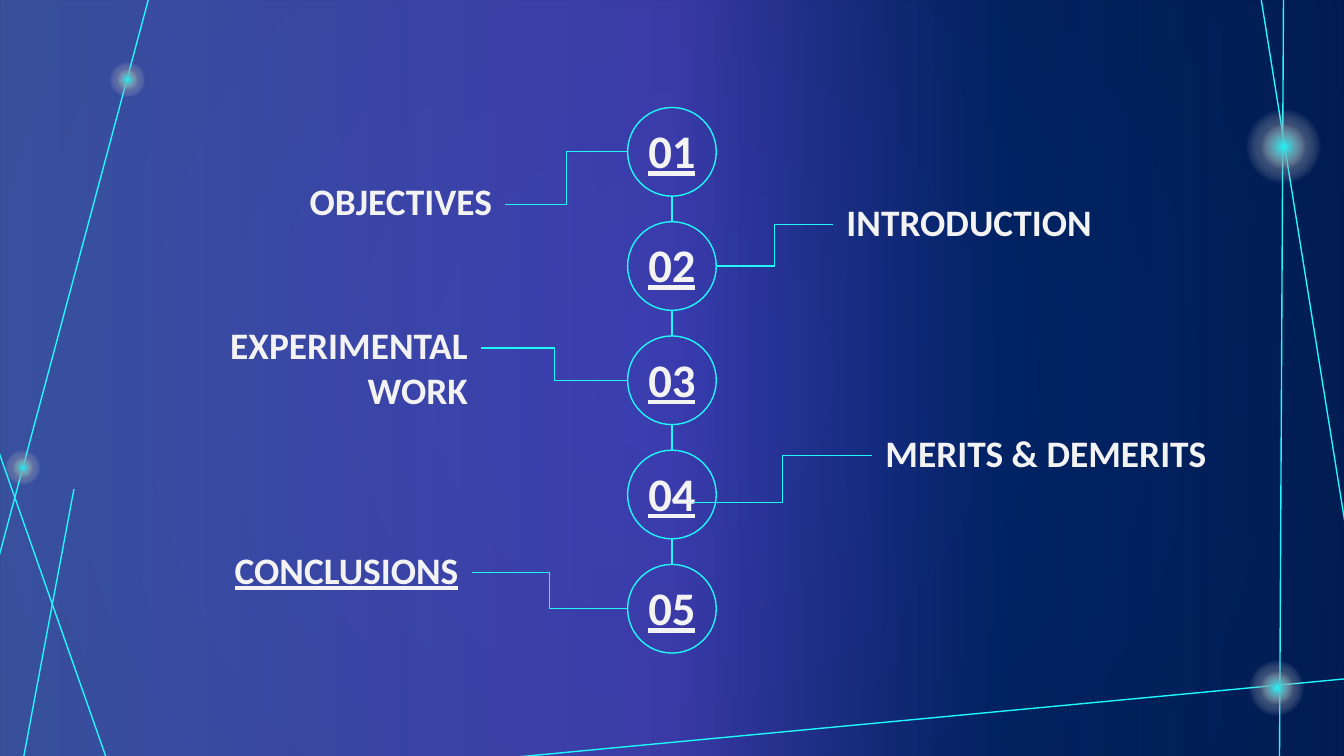
from pptx import Presentation, oxml, util as u
from pptx.dml.color import RGBColor
from pptx.enum import shapes, text
from pptx.oxml.ns import nsdecls, qn

COLORS = {"line": "20F8FD", "text": "F3F3F3", "navy": "012060", "night": "00183A",
          "blue": "748BFF", "violet": "7659FF", "royal": "022E88"}

# Content, lengths in inches: label, left, top, width, side, underline
ITEMS = [
    ("OBJECTIVES", 1.04, 1.23, 2.72, "left", False),
    ("INTRODUCTION", 6.2, 1.38, 2.8, "right", False),
    ("EXPERIMENTAL WORK", 0.86, 2.3, 2.72, "left", False),
    ("MERITS & DEMERITS", 6.49, 3.1, 2.7, "right", False),
    ("CONCLUSIONS", 0.79, 3.97, 2.72, "left", True),
]
JOINTS = {3: (5.16, 3.74)}  # connector start that lies inside its circle

# Decoration: line ends, and glows as centre x, centre y, halo size, core size
RAYS = [(9.38, -0.03, 10.02, 3.97), (9.55, -0.06, 9.52, 5.73), (3.77, 5.64, 10.13, 5.04),
        (-0.01, 3.36, 0.83, 5.75), (0.16, 5.72, 0.55, 3.64), (1.13, -0.1, -0.01, 4.15)]
GLOWS = [(9.55, 1.09, 0.79, 0.47), (9.5, 5.12, 0.58, 0.35),
         (0.17, 3.48, 0.37, 0.22), (0.95, 0.59, 0.37, 0.22)]

# Geometry of the column of circles
WIDTH = 10
HEIGHT = WIDTH * 9 / 16
CENTER, FIRST_TOP, PITCH, SIZE = 5, 0.8, 0.85, 0.66
NUMBER_W, NUMBER_H, LABEL_H = 1.14, 0.61, 0.58


def lengths(*inches):
    return [u.Cm(round(value * 2.54, 4)) for value in inches]


def color(name):
    return RGBColor.from_string(COLORS[name])


def paint_gradient(fill, parent, stops, radial=True):
    """Stops are (position, colour, opacity), all in percent."""
    fill.gradient()
    marks = "".join(
        f'<a:gs pos="{place * 1000}"><a:srgbClr val="{COLORS[name]}">'
        f'<a:alpha val="{opacity * 1000}"/></a:srgbClr></a:gs>'
        for place, name, opacity in stops)
    shade = ('<a:path path="circle"><a:fillToRect l="50000" t="50000" r="50000" b="50000"/></a:path>'
             if radial else '<a:lin ang="0" scaled="0"/>')
    gradient = oxml.parse_xml(f'<a:gradFill {nsdecls("a")} rotWithShape="1">'
                              f'<a:gsLst>{marks}</a:gsLst>{shade}</a:gradFill>')
    parent.replace(parent.find(qn("a:gradFill")), gradient)


def style_line(line):
    line.color.rgb = color("line")
    line.width = u.Pt(0.75)


def add_shape(page, kind, *place):
    shape = page.shapes.add_shape(kind, *lengths(*place))
    shape.shadow.inherit = False
    return shape


def add_line(page, kind, *ends):
    connector = page.shapes.add_connector(kind, *lengths(*ends))
    style_line(connector.line)
    connector.element.spPr.append(oxml.parse_xml(f'<a:effectLst {nsdecls("a")}/>'))


def write_text(box, place, words, align, size, underline):
    for name, value in zip(("left", "top", "width", "height"), lengths(*place)):
        setattr(box, name, value)
    frame = box.text_frame
    inset = u.Cm(0.25)
    layout = {"word_wrap": True, "auto_size": text.MSO_AUTO_SIZE.NONE,
              "vertical_anchor": text.MSO_ANCHOR.TOP, "margin_left": inset,
              "margin_right": inset, "margin_top": inset, "margin_bottom": inset}
    for name, value in layout.items():
        setattr(frame, name, value)
    para = frame.paragraphs[0]
    para.alignment = align
    span = para.add_run()
    span.text = words
    look = {"name": "Calibri", "size": u.Pt(size), "bold": True, "underline": underline}
    for name, value in look.items():
        setattr(span.font, name, value)
    span.font.color.rgb = color("text")


def draw_backdrop(page):
    paint_gradient(page.background.fill, page.element.xpath("p:cSld/p:bg/p:bgPr")[0],
                   [(0, "navy", 100), (100, "night", 100)])
    veil = add_shape(page, shapes.MSO_SHAPE.RECTANGLE, 0, 0, WIDTH, HEIGHT)
    paint_gradient(veil.fill, veil.element.spPr,
                   [(0, "blue", 49), (50, "violet", 50), (75, "royal", 35), (100, "navy", 60)],
                   radial=False)
    veil.line.fill.background()
    for ray in RAYS:
        add_line(page, shapes.MSO_CONNECTOR.STRAIGHT, *ray)
    for x, y, halo, core in GLOWS:
        for size, name in ((halo, "night"), (core, "line")):
            glow = add_shape(page, shapes.MSO_SHAPE.OVAL, x - size / 2, y - size / 2, size, size)
            paint_gradient(glow.fill, glow.element.spPr,
                           [(0, name, 100), (50, "text", 0), (100, "text", 0)])
            glow.line.fill.background()


def draw_item(page, index, item):
    words, left, label_top, width, side, underline = item
    top = FIRST_TOP + index * PITCH
    middle, radius = top + SIZE / 2, SIZE / 2

    # Numbered circle and the link to the next one
    circle = add_shape(page, shapes.MSO_SHAPE.OVAL, CENTER - radius, top, SIZE, SIZE)
    circle.fill.background()
    style_line(circle.line)
    number = page.shapes.add_textbox(0, 0, 0, 0)
    write_text(number, (CENTER - NUMBER_W / 2, top + 0.01, NUMBER_W, NUMBER_H),
               f"{index + 1:02}", text.PP_ALIGN.CENTER, 25, True)
    if index < len(ITEMS) - 1:
        add_line(page, shapes.MSO_CONNECTOR.STRAIGHT, CENTER, top + SIZE, CENTER, top + PITCH)

    # Label; the first one is the slide title, lifted above the backdrop
    if index == 0:
        label = page.shapes.title
        page.shapes.element.append(label.element)
    else:
        label = page.shapes.add_textbox(0, 0, 0, 0)
    align = text.PP_ALIGN.RIGHT if side == "left" else text.PP_ALIGN.LEFT
    write_text(label, (left, label_top, width, LABEL_H), words, align, 20, underline)

    # Elbow between label and circle
    label_middle = label_top + LABEL_H / 2
    if side == "left":
        ends = (left + width, label_middle, CENTER - radius, middle)
    else:
        ends = (*JOINTS.get(index, (CENTER + radius, middle)), left, label_middle)
    add_line(page, shapes.MSO_CONNECTOR.ELBOW, *ends)


def main():
    deck = Presentation()
    deck.slide_width, deck.slide_height = lengths(WIDTH, HEIGHT)
    page = deck.slides.add_slide(deck.slide_layouts.get_by_name("Title Only"))
    draw_backdrop(page)
    for index, item in enumerate(ITEMS):
        draw_item(page, index, item)
    deck.save("out.pptx")


if __name__ == "__main__":
    main()
